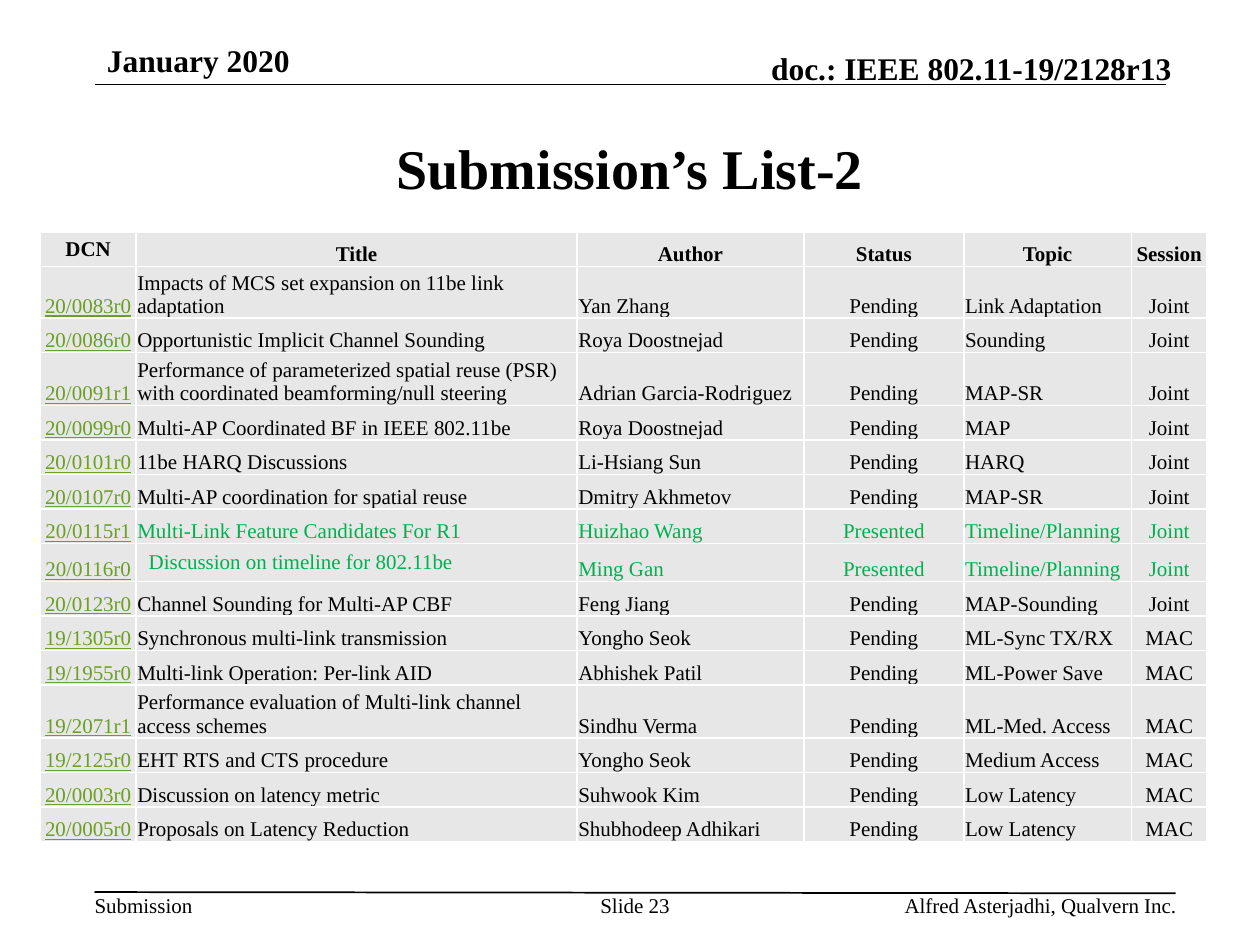
from dataclasses import dataclass

from lxml import etree
from pptx import Presentation
from pptx.dml.color import RGBColor
from pptx.enum import shapes, text
from pptx.oxml import ns
from pptx.util import Inches, Pt


@dataclass(frozen=True)
class Theme:
    font: str = "Times New Roman"
    ink: str = "000000"
    link: str = "6B9F25"
    done: str = "00B050"
    cell: str = "E7E7E7"
    edge: str = "FFFFFF"
    small: int = 12
    mid: int = 18
    big: int = 32


look = Theme()
left, mid, right = text.PP_ALIGN.LEFT, text.PP_ALIGN.CENTER, text.PP_ALIGN.RIGHT
top, middle, bottom = (text.MSO_ANCHOR.TOP, text.MSO_ANCHOR.MIDDLE,
                       text.MSO_ANCHOR.BOTTOM)

deck = Presentation()
deck.slide_width, deck.slide_height = Inches(10), Inches(7.5)
page = deck.slides.add_slide(deck.slide_layouts[6])


def write(frame, words, align, size, color=look.ink, bold=False, under=False):
    para = frame.paragraphs[0]
    para.alignment = align
    run = para.add_run()
    run.text = words
    font = run.font
    font.name, font.size = look.font, Pt(size)
    font.bold, font.underline = bold, under
    font.color.rgb = RGBColor.from_string(color)


# Rules above and below the content
for x1, y1, x2, y2 in [(0.75, 0.67, 9.25, 0.67), (0.75, 7.08, 9.33, 7.09)]:
    rule = page.shapes.add_connector(
        shapes.MSO_CONNECTOR.STRAIGHT,
        Inches(x1), Inches(y1), Inches(x2), Inches(y2))
    rule.line.color.rgb = RGBColor.from_string(look.ink)
    rule.line.width = Pt(1)
    etree.SubElement(rule._element.spPr, ns.qn("a:effectLst"))

# Header, title and footer: words, box, align, anchor, size, bold, insets
labels = [
    ("January 2020", (0.75, 0.28, 2.52, 0.3), left, top, look.mid, True, (0.1, 0.05)),
    ("doc.: IEEE 802.11-19/2128r13", (5.47, 0.39, 3.83, 0.3), right, bottom,
     look.mid, True, (0, 0)),
    ("Submission’s List-2", (0.75, 0.75, 8.5, 1.16), mid, middle,
     look.big, True, (0.1, 0.05)),
    ("Submission", (0.75, 7.08, 0.78, 0.2), left, top, look.small, False, (0, 0)),
    ("Slide 23", (4.75, 7.08, 0.58, 0.4), mid, top, look.small, False, (0, 0)),
    ("Alfred Asterjadhi, Qualvern Inc.", (5.86, 7.08, 3.48, 0.2), right, top,
     look.small, False, (0, 0)),
]
for words, box, align, anchor, size, bold, (side, end) in labels:
    frame = page.shapes.add_textbox(*map(Inches, box)).text_frame
    frame.word_wrap = words != "Submission"
    frame.vertical_anchor = anchor
    frame.margin_left = frame.margin_right = Inches(side)
    frame.margin_top = frame.margin_bottom = Inches(end)
    write(frame, words, align, size, bold=bold)

# Submissions table
rows = [
    ("DCN", "Title", "Author", "Status", "Topic", "Session"),
    ("20/0083r0", "Impacts of MCS set expansion on 11be link adaptation",
     "Yan Zhang", "Pending", "Link Adaptation", "Joint"),
    ("20/0086r0", "Opportunistic Implicit Channel Sounding",
     "Roya Doostnejad", "Pending", "Sounding", "Joint"),
    ("20/0091r1", "Performance of parameterized spatial reuse (PSR) with "
     "coordinated beamforming/null steering",
     "Adrian Garcia-Rodriguez", "Pending", "MAP-SR", "Joint"),
    ("20/0099r0", "Multi-AP Coordinated BF in IEEE 802.11be",
     "Roya Doostnejad", "Pending", "MAP", "Joint"),
    ("20/0101r0", "11be HARQ Discussions",
     "Li-Hsiang Sun", "Pending", "HARQ", "Joint"),
    ("20/0107r0", "Multi-AP coordination for spatial reuse",
     "Dmitry Akhmetov", "Pending", "MAP-SR", "Joint"),
    ("20/0115r1", "Multi-Link Feature Candidates For R1",
     "Huizhao Wang", "Presented", "Timeline/Planning", "Joint"),
    ("20/0116r0", "Discussion on timeline for 802.11be",
     "Ming Gan", "Presented", "Timeline/Planning", "Joint"),
    ("20/0123r0", "Channel Sounding for Multi-AP CBF",
     "Feng Jiang", "Pending", "MAP-Sounding", "Joint"),
    ("19/1305r0", "Synchronous multi-link transmission",
     "Yongho Seok", "Pending", "ML-Sync TX/RX", "MAC"),
    ("19/1955r0", "Multi-link Operation: Per-link AID",
     "Abhishek Patil", "Pending", "ML-Power Save", "MAC"),
    ("19/2071r1", "Performance evaluation of Multi-link channel access schemes",
     "Sindhu Verma", "Pending", "ML-Med. Access", "MAC"),
    ("19/2125r0", "EHT RTS and CTS procedure",
     "Yongho Seok", "Pending", "Medium Access", "MAC"),
    ("20/0003r0", "Discussion on latency metric",
     "Suhwook Kim", "Pending", "Low Latency", "MAC"),
    ("20/0005r0", "Proposals on Latency Reduction",
     "Shubhodeep Adhikari", "Pending", "Low Latency", "MAC"),
]
wide = [0.76, 3.5, 1.8, 1.27, 1.33, 0.6]
tall = {1: 0.38, 3: 0.42, 8: 0.29, 12: 0.42}
high = 4.8
rest = (high - sum(tall.values())) / (len(rows) - len(tall))

grid = page.shapes.add_table(
    len(rows), len(wide), Inches(0.32), Inches(1.84),
    Inches(sum(wide)), Inches(high)).table
grid.first_row = grid.horz_banding = False
for col, width in zip(grid.columns, wide):
    col.width = Inches(width)

for r, row in enumerate(rows):
    grid.rows[r].height = Inches(tall.get(r, rest))
    head = r == 0
    for c, words in enumerate(row):
        cell = grid.cell(r, c)
        loose = (r, c) == (8, 1)
        cell.margin_left = cell.margin_right = Inches(0.1 if loose else 0.01)
        cell.margin_top = Inches(0.05 if loose else 0.01)
        cell.margin_bottom = Inches(0.05 if loose else 0)
        cell.vertical_anchor = middle if loose or (r, c) == (0, 0) else bottom

        # White borders go ahead of the fill
        props = cell._tc.get_or_add_tcPr()
        for side in ("lnL", "lnR", "lnT", "lnB"):
            line = etree.SubElement(props, ns.qn("a:" + side), w=str(Pt(1)))
            fill = etree.SubElement(line, ns.qn("a:solidFill"))
            etree.SubElement(fill, ns.qn("a:srgbClr"), val=look.edge)
        cell.fill.solid()
        cell.fill.fore_color.rgb = RGBColor.from_string(look.cell)

        link = c == 0 and not head
        color = look.done if row[3] == "Presented" else look.ink
        write(cell.text_frame, words, mid if head or c in (0, 3, 5) else left,
              look.small, look.link if link else color, head, link)

deck.save("out.pptx")
